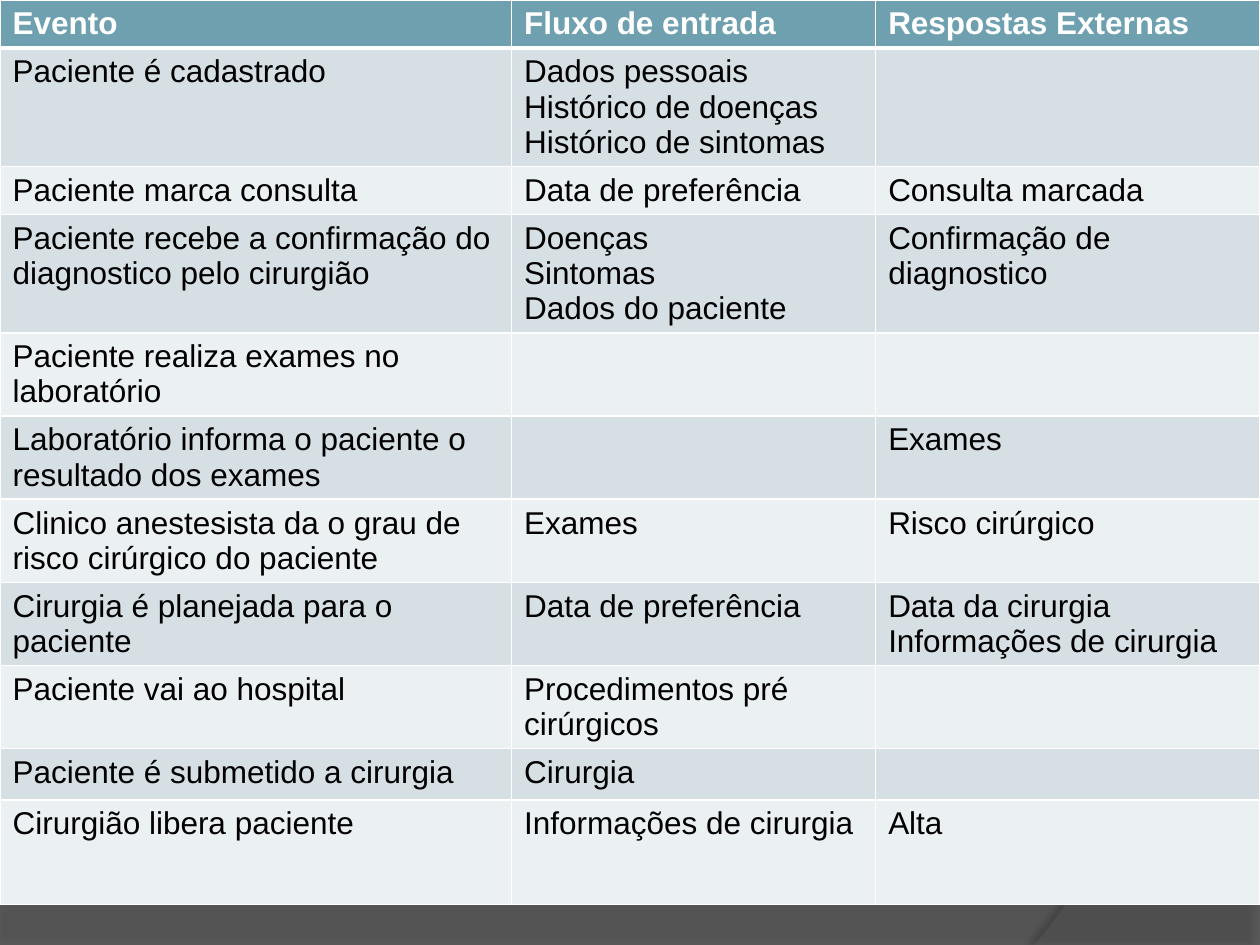
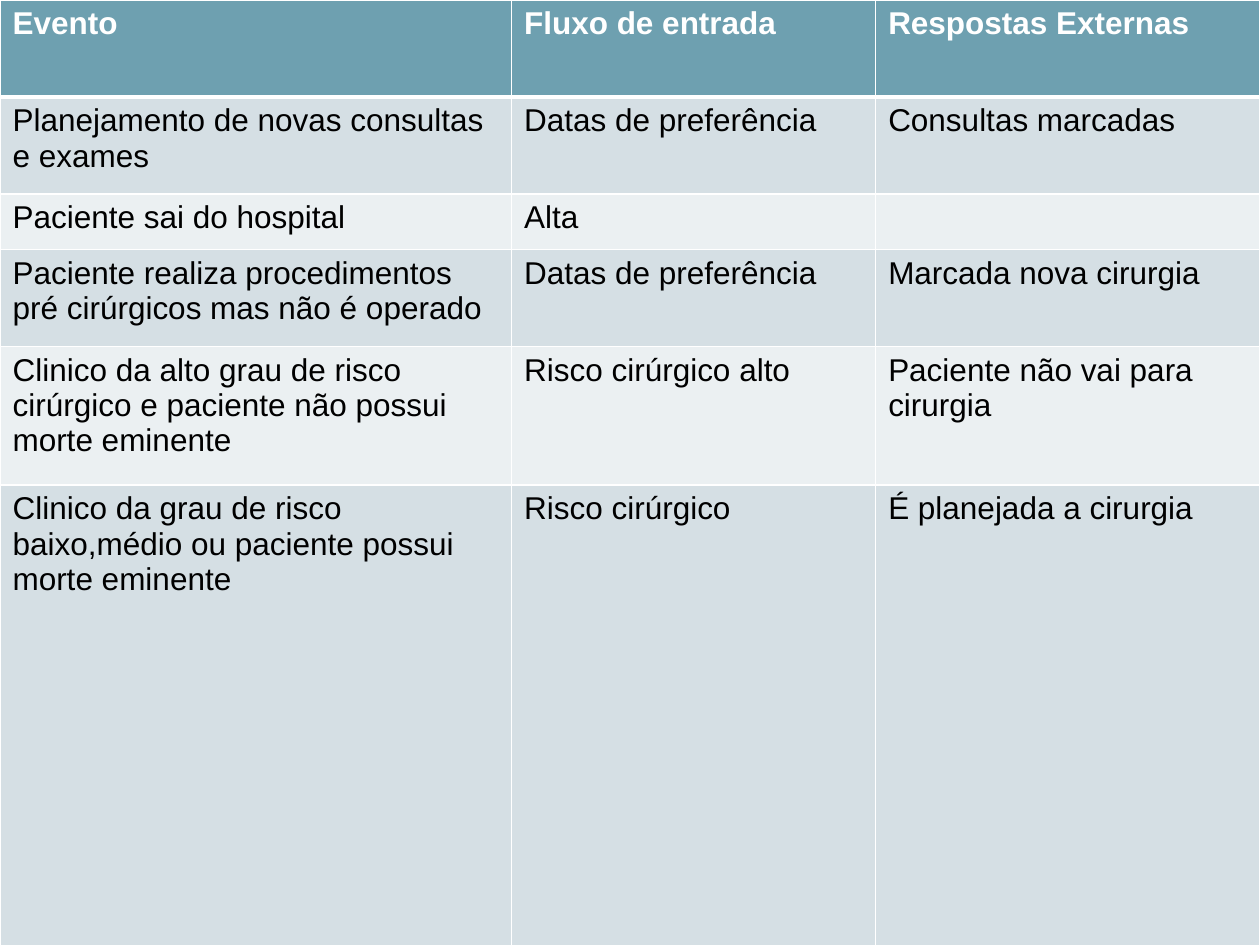
from pptx import Presentation
from pptx.dml.color import RGBColor as RGB
from pptx.oxml import parse_xml
from pptx.oxml.ns import nsdecls
from pptx.util import Inches, Pt

HUES = {"back": "3B3B3B", "wave": "7F7F7F", "side": "5E5E5E", "head": "6EA0B0",
        "odd": "D5DFE4", "even": "EBF0F2", "white": "FFFFFF", "black": "000000"}
FONT = {"name": "Arial", "size": Pt(18)}
COLS = [4.06, 2.89, 3.05]
HEAD = ["Evento", "Fluxo de entrada", "Respostas Externas"]

# Background bands: start, further points, fill, opacity, shadow (opacity, distance, angle)
# A point with six numbers is a cubic curve
BANDS = [
    ((0, 7.05), [(0, 7.51), (10, 7.51), (10, 5.2), (5.59, 7.29, 3.91, 7.19, 0, 7.05)],
     "wave", 45, (35, 3.5, 270)),
    ((10, 0.02), [(10, 7.5), (8.21, 7.5), (9.35, 6.19, 10.18, 3, 8, 0)],
     "side", 40, (45, 4, 180)),
]

# Each slide: rows of (height, event, input, response)
PAGES = [
    [
        (0.38, *HEAD),
        (0.94, "Paciente é cadastrado",
         "Dados pessoais\nHistórico de doenças\nHistórico de sintomas", ""),
        (0.38, "Paciente marca consulta", "Data de preferência", "Consulta marcada"),
        (0.94, "Paciente recebe a confirmação do diagnostico pelo cirurgião",
         "Doenças\nSintomas\nDados do paciente", "Confirmação de diagnostico"),
        (0.66, "Paciente realiza exames no laboratório", "", ""),
        (0.66, "Laboratório informa o paciente o resultado dos exames", "", "Exames"),
        (0.66, "Clinico anestesista da o grau de risco cirúrgico do paciente",
         "Exames", "Risco cirúrgico"),
        (0.66, "Cirurgia é planejada para o paciente", "Data de preferência",
         "Data da cirurgia\nInformações de cirurgia"),
        (0.66, "Paciente vai ao hospital", "Procedimentos pré cirúrgicos", ""),
        (0.38, "Paciente é submetido a cirurgia", "Cirurgia", ""),
        (0.83, "Cirurgião libera paciente", "Informações de cirurgia", "Alta"),
    ],
    [
        (0.77, *HEAD),
        (0.77, "Planejamento de novas consultas e exames", "Datas de preferência",
         "Consultas marcadas"),
        (0.44, "Paciente sai do hospital", "Alta", ""),
        (0.77, "Paciente realiza procedimentos pré cirúrgicos mas não é operado",
         "Datas de preferência", "Marcada nova cirurgia"),
        (1.1, "Clinico da alto grau de risco cirúrgico e paciente não possui morte eminente",
         "Risco cirúrgico alto", "Paciente não vai para cirurgia"),
        (3.67, "Clinico da grau de risco baixo,médio ou paciente possui morte eminente",
         "Risco cirúrgico", "É planejada a cirurgia"),
    ],
]


def trace(start, steps, count=40):
    """List the points of an outline, with curves cut into short lines."""
    spots = [start]
    for step in steps:
        if len(step) == 2:
            spots.append(step)
            continue
        knots = [spots[-1], step[:2], step[2:4], step[4:]]
        for i in range(1, count + 1):
            t = i / count
            parts = [(1 - t) ** 3, 3 * t * (1 - t) ** 2, 3 * t * t * (1 - t), t ** 3]
            spots.append(tuple(sum(w * k[axis] for w, k in zip(parts, knots))
                               for axis in (0, 1)))
    return [(Inches(x), Inches(y)) for x, y in spots]


def edge(cell, side, width):
    """Draw one white border of a cell."""
    cell._tc.get_or_add_tcPr().append(parse_xml(
        f'<a:ln{side} {nsdecls("a")} w="{Pt(width)}"><a:solidFill>'
        f'<a:srgbClr val="{HUES["white"]}"/></a:solidFill></a:ln{side}>'))


deck = Presentation()
deck.slide_width, deck.slide_height = Inches(10), Inches(7.5)
ground = deck.slide_master.background.fill
ground.solid()
ground.fore_color.rgb = RGB.from_string(HUES["back"])

for rows in PAGES:
    slide = deck.slides.add_slide(deck.slide_layouts[6])

    # Translucent bands
    for start, steps, hue, alpha, (dark, gap, angle) in BANDS:
        spots = trace(start, steps)
        pen = slide.shapes.build_freeform(*spots[0])
        pen.add_line_segments(spots[1:], close=True)
        band = pen.convert_to_shape()
        band.line.fill.background()
        band.fill.solid()
        band.fill.fore_color.rgb = RGB.from_string(HUES[hue])
        tint = band._element.spPr.find(".//{*}solidFill/{*}srgbClr")
        tint.append(parse_xml(f'<a:alpha {nsdecls("a")} val="{alpha * 1000}"/>'))
        band._element.spPr.append(parse_xml(
            f'<a:effectLst {nsdecls("a")}><a:outerShdw blurRad="{Pt(4)}" '
            f'dist="{Pt(gap)}" dir="{angle * 60000}" rotWithShape="0">'
            f'<a:srgbClr val="{HUES["black"]}"><a:alpha val="{dark * 1000}"/>'
            f'</a:srgbClr></a:outerShdw></a:effectLst>'))

    # Event table
    high = sum(row[0] for row in rows)
    grid = slide.shapes.add_table(len(rows), len(COLS), 0, 0,
                                  Inches(10), Inches(high)).table
    for col, wide in zip(grid.columns, COLS):
        col.width = Inches(wide)
    for r, (tall, *texts) in enumerate(rows):
        grid.rows[r].height = Inches(tall)
        hue = "head" if r == 0 else "odd" if r % 2 else "even"
        for c, text in enumerate(texts):
            cell = grid.cell(r, c)
            for side in "LRTB":
                thick = (r, side) in [(0, "B"), (1, "T")]
                edge(cell, side, 3 if thick else 1)
            cell.fill.solid()
            cell.fill.fore_color.rgb = RGB.from_string(HUES[hue])
            cell.text_frame.text = text
            for para in cell.text_frame.paragraphs:
                for key, value in {**FONT, "bold": r == 0}.items():
                    for run in para.runs:
                        setattr(run.font, key, value)
                for run in para.runs:
                    run.font.color.rgb = RGB.from_string(HUES["black" if r else "white"])

deck.save("out.pptx")
